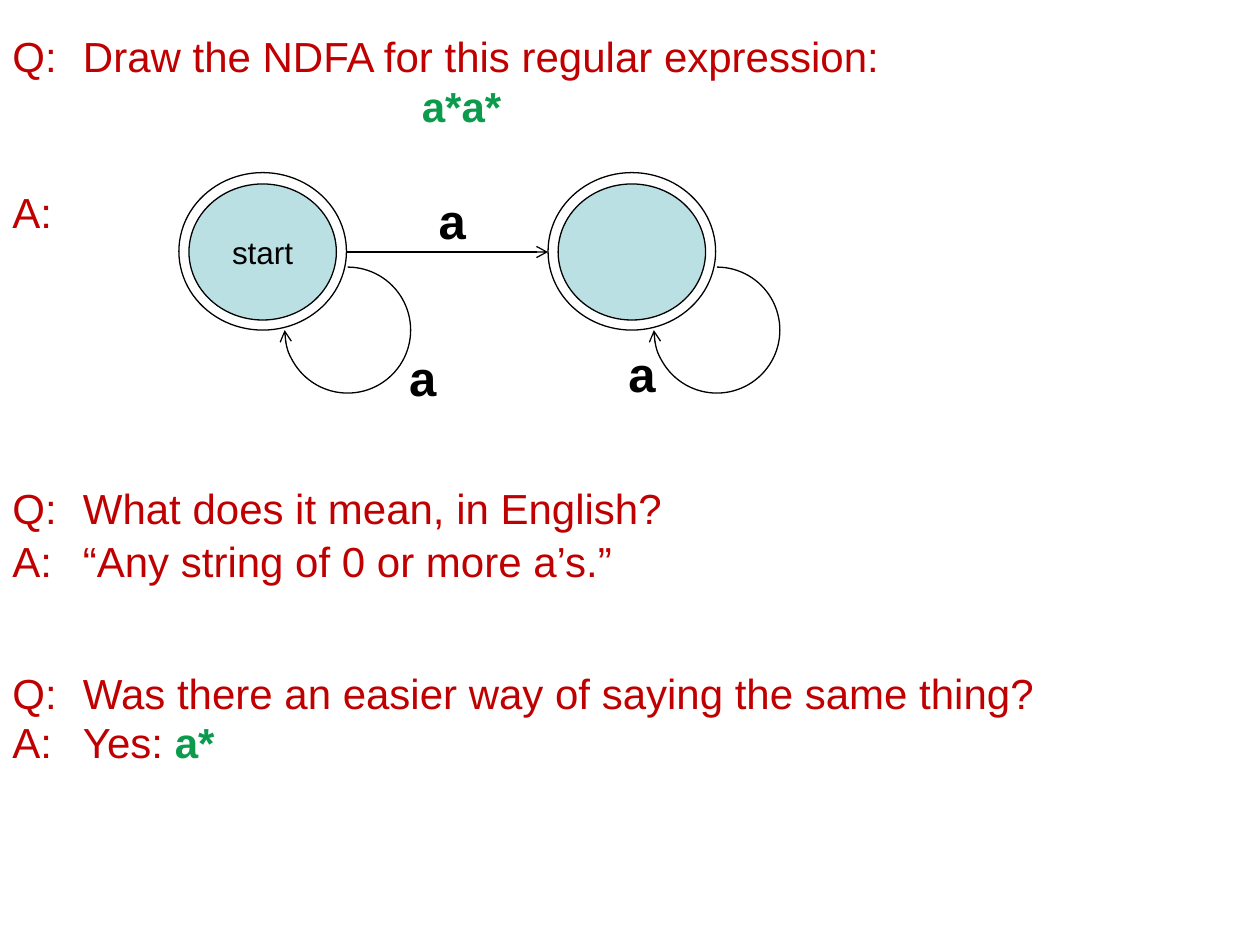
import pptx
import pptx.util
import pptx.dml.color
import pptx.enum.shapes
import pptx.enum.text
import lxml.etree
from pptx.util import Inches

COLORS = {"question": "C00000", "expression": "0C9B4D", "state": "BBE0E3", "ink": "000000"}
SHAPES = pptx.enum.shapes.MSO_SHAPE
CENTER = pptx.enum.text.PP_ALIGN.CENTER
INDENT = 0.56


def format_run(run, size, color, bold=False):
    run.font.name = "Arial"
    run.font.size = pptx.util.Pt(size)
    run.font.bold = bold
    run.font.color.rgb = pptx.dml.color.RGBColor.from_string(COLORS[color])


def add_text_box(slide, left, top, width, height):
    box = slide.shapes.add_textbox(Inches(left), Inches(top), Inches(width), Inches(height))
    box.text_frame.word_wrap = True
    return box.text_frame


def set_indent(paragraph, left, first):
    properties = paragraph._p.get_or_add_pPr()
    properties.set("marL", str(Inches(left)))
    properties.set("indent", str(Inches(first)))


def add_expression(paragraph, text):
    run = paragraph.add_run()
    run.text = text
    format_run(run, 24, "expression", bold=True)


def add_entry(slide, left, top, width, height, text):
    frame = add_text_box(slide, left, top, width, height)
    frame.text = text
    paragraph = frame.paragraphs[0]
    set_indent(paragraph, INDENT, -INDENT)
    format_run(paragraph.runs[0], 24, "question")
    return frame


def add_label(slide, left, top, width):
    frame = add_text_box(slide, left, top, width, 0.5)
    frame.text = "a"
    frame.paragraphs[0].alignment = CENTER
    format_run(frame.paragraphs[0].runs[0], 28, "ink", bold=True)


def style_line(shape, arrow=False):
    shape.line.color.rgb = pptx.dml.color.RGBColor.from_string(COLORS["ink"])
    shape.line.width = pptx.util.Pt(0.75)
    if arrow:
        line = shape.line._get_or_add_ln()
        lxml.etree.SubElement(line, pptx.oxml.ns.qn("a:tailEnd"), type="arrow")


def add_outline(slide, kind, left, top, width, height):
    shape = slide.shapes.add_shape(kind, Inches(left), Inches(top), Inches(width), Inches(height))
    shape.shadow.inherit = False
    shape.fill.background()
    return shape


def add_state(slide, left, top, text=""):
    outer = add_outline(slide, SHAPES.OVAL, left, top, 1.33, 1.25)
    style_line(outer)

    inner = add_outline(slide, SHAPES.OVAL, left + 0.08, top + 0.09, 1.17, 1.08)
    inner.fill.solid()
    inner.fill.fore_color.rgb = pptx.dml.color.RGBColor.from_string(COLORS["state"])
    style_line(inner)
    if text:
        frame = inner.text_frame
        frame.margin_left = frame.margin_right = frame.margin_top = frame.margin_bottom = 0
        frame.vertical_anchor = pptx.enum.text.MSO_ANCHOR.MIDDLE
        frame.text = text
        frame.paragraphs[0].alignment = CENTER
        format_run(frame.paragraphs[0].runs[0], 18, "ink")

    loop = add_outline(slide, SHAPES.ARC, left + 0.84, top + 0.75, 1, 1)
    loop.adjustments[0] = 162
    loop.adjustments[1] = 108
    style_line(loop, arrow=True)


def add_transition(slide, start, end, height):
    connector = slide.shapes.add_connector(
        pptx.enum.shapes.MSO_CONNECTOR.STRAIGHT,
        Inches(start), Inches(height), Inches(end), Inches(height))
    style_line(connector, arrow=True)
    lxml.etree.SubElement(connector._element.spPr, pptx.oxml.ns.qn("a:effectLst"))


def add_automaton(slide, left, top):
    second = left + 2.93
    add_state(slide, left, top, "start")
    add_state(slide, second, top)
    add_transition(slide, left + 1.33, second, top + 0.63)
    add_label(slide, left + 1.33, top + 0.09, 1.68)
    add_label(slide, left + 1.1, top + 1.34, 1.67)
    add_label(slide, left + 2.76, top + 1.31, 1.83)


def add_questions(slide, left, top):
    frame = add_entry(slide, left, top, 8.25, 1.36,
                      "Q:\tDraw the NDFA for this regular expression:")
    expression = frame.add_paragraph()
    set_indent(expression, 3.25, 0)
    add_expression(expression, "a*a*")

    for offset, width, text in (
        (1.24, 4.83, "A:"),
        (3.59, 6.42, "Q:\tWhat does it mean, in English?"),
        (4.01, 6.42, "A:\t“Any string of 0 or more a’s.”"),
        (5.06, 8.58, "Q:\tWas there an easier way of saying the same thing?"),
    ):
        add_entry(slide, left, top + offset, width, 0.57, text)

    answer = add_entry(slide, left, top + 5.49, 7.25, 0.57, "A:\tYes: ").paragraphs[0]
    answer.line_spacing = 0.9
    add_expression(answer, "a*")


def main():
    presentation = pptx.Presentation()
    presentation.slide_width = Inches(10)
    presentation.slide_height = Inches(7.5)
    slide = presentation.slides.add_slide(presentation.slide_layouts[6])
    add_questions(slide, 0, 0.19)
    add_automaton(slide, 1.42, 1.37)
    presentation.save("out.pptx")


if __name__ == "__main__":
    main()
